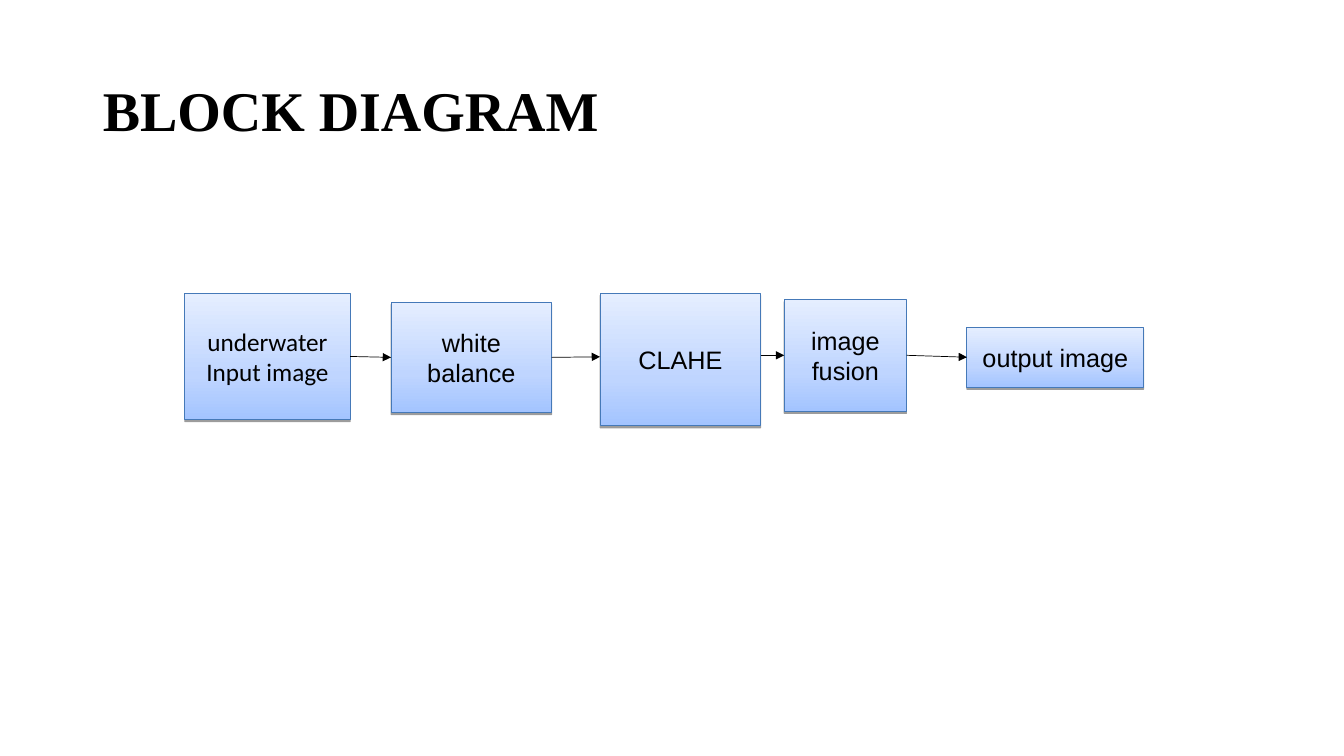
import copy
import dataclasses
import typing

import lxml.etree
import pptx
import pptx.dml.color
import pptx.enum.dml
import pptx.enum.shapes
import pptx.enum.text
import pptx.oxml.ns
import pptx.util

SLIDE_WIDTH = pptx.util.Inches(13.33)
SLIDE_HEIGHT = pptx.util.Inches(7.5)
GRID_COLUMNS = 100
GRID_ROWS = 100
BLACK = "000000"
GRADIENT = ((0, "A3C4FF"), (0.35, "BFD5FF"), (1, "E5EEFF"))
RIGHT_SITE = 3
LEFT_SITE = 1


@dataclasses.dataclass(frozen=True)
class Block:
    text: str
    column: float
    row: float
    columns: float
    rows: float
    font: str = "Arial"


@dataclasses.dataclass(frozen=True)
class Arrow:
    source: str
    target: str
    row: float
    joins_source: bool = True
    joins_target: bool = True


BLOCKS = (
    Block("underwater Input image", 13.75, 38.8, 12.3, 16.7, "Calibri"),
    Block("white balance", 29.1, 40, 11.95, 14.55),
    Block("CLAHE", 44.65, 38.8, 11.95, 17.5),
    Block("image fusion", 58.35, 39.6, 9.1, 14.8),
    Block("output image", 71.95, 43.3, 13.15, 7.9),
)

ARROWS = (
    Arrow("underwater Input image", "white balance", 47.2),
    Arrow("white balance", "CLAHE", 47.2, joins_target=False),
    Arrow("CLAHE", "image fusion", 47, joins_source=False),
    Arrow("image fusion", "output image", 47),
)


def across(columns: float) -> int:
    return round(SLIDE_WIDTH * columns / GRID_COLUMNS)


def down(rows: float) -> int:
    return round(SLIDE_HEIGHT * rows / GRID_ROWS)


def color(value: str) -> pptx.dml.color.RGBColor:
    return pptx.dml.color.RGBColor.from_string(value)


def add_element(parent: typing.Any, tag: str, **attributes: str) -> typing.Any:
    return lxml.etree.SubElement(parent, pptx.oxml.ns.qn(tag), attributes)


def write_text(
    shape: typing.Any,
    text: str,
    *,
    font: str,
    size: float,
    bold: bool = False,
    alignment: pptx.enum.text.PP_ALIGN = pptx.enum.text.PP_ALIGN.CENTER,
    line_spacing: float = 1.0,
) -> None:
    frame = shape.text_frame
    frame.word_wrap = True
    frame.auto_size = pptx.enum.text.MSO_AUTO_SIZE.NONE
    frame.vertical_anchor = pptx.enum.text.MSO_ANCHOR.MIDDLE
    paragraph = frame.paragraphs[0]
    paragraph.alignment = alignment
    paragraph.line_spacing = line_spacing
    run = paragraph.add_run()
    run.text = text
    run.font.name = font
    run.font.size = pptx.util.Pt(size)
    run.font.bold = bold
    run.font.color.rgb = color(BLACK)


def fill_gradient(shape: typing.Any) -> None:
    shape.fill.gradient()
    shape.fill.gradient_angle = 90
    stop_list = shape._element.spPr.find(".//" + pptx.oxml.ns.qn("a:gsLst"))
    stop_list.append(copy.deepcopy(stop_list[0]))
    for stop, (position, value) in zip(shape.fill.gradient_stops, GRADIENT):
        stop.position = position
        stop.color.rgb = color(value)


def add_shadow(shape: typing.Any) -> None:
    shape.shadow.inherit = False
    effects = shape._element.spPr.find(pptx.oxml.ns.qn("a:effectLst"))
    shadow = add_element(
        effects, "a:outerShdw", blurRad="0",
        dist=str(pptx.util.Pt(1.6)), dir="5400000", rotWithShape="0",
    )
    shadow_color = add_element(shadow, "a:srgbClr", val=BLACK)
    add_element(shadow_color, "a:alpha", val="38000")


def add_title(slide: typing.Any) -> None:
    title = slide.shapes.title
    title.left, title.top = across(6.9), down(5.3)
    title.width, title.height = across(86.25), down(19.35)
    write_text(
        title, "BLOCK DIAGRAM", font="Times New Roman", size=40, bold=True,
        alignment=pptx.enum.text.PP_ALIGN.LEFT, line_spacing=0.9,
    )


def add_block(slide: typing.Any, block: Block) -> typing.Any:
    shape = slide.shapes.add_shape(
        pptx.enum.shapes.MSO_SHAPE.RECTANGLE,
        across(block.column), down(block.row),
        across(block.columns), down(block.rows),
    )
    fill_gradient(shape)
    shape.line.color.rgb = color("4579B8")
    shape.line.width = pptx.util.Pt(0.75)
    add_shadow(shape)
    frame = shape.text_frame
    frame.margin_left = frame.margin_right = across(0.55)
    frame.margin_top = frame.margin_bottom = down(0.55)
    write_text(shape, block.text, font=block.font, size=18)
    return shape


def add_arrow(
    slide: typing.Any, arrow: Arrow, shapes: dict[str, typing.Any]
) -> None:
    source, target = shapes[arrow.source], shapes[arrow.target]
    connector = slide.shapes.add_connector(
        pptx.enum.shapes.MSO_CONNECTOR.STRAIGHT,
        source.left + source.width, down(arrow.row),
        target.left, down(arrow.row),
    )
    if arrow.joins_source:
        connector.begin_connect(source, RIGHT_SITE)
    if arrow.joins_target:
        connector.end_connect(target, LEFT_SITE)
    connector.line.color.rgb = color(BLACK)
    connector.line.width = pptx.util.Pt(0.5)
    properties = connector._element.spPr
    line = properties.find(pptx.oxml.ns.qn("a:ln"))
    add_element(line, "a:tailEnd", type="triangle")
    add_element(properties, "a:effectLst")


def main() -> None:
    presentation = pptx.Presentation()
    presentation.slide_width = SLIDE_WIDTH
    presentation.slide_height = SLIDE_HEIGHT
    slide = presentation.slides.add_slide(presentation.slide_layouts[5])
    add_title(slide)
    shapes = {block.text: add_block(slide, block) for block in BLOCKS}
    for arrow in ARROWS:
        add_arrow(slide, arrow, shapes)
    presentation.save("out.pptx")


if __name__ == "__main__":
    main()
